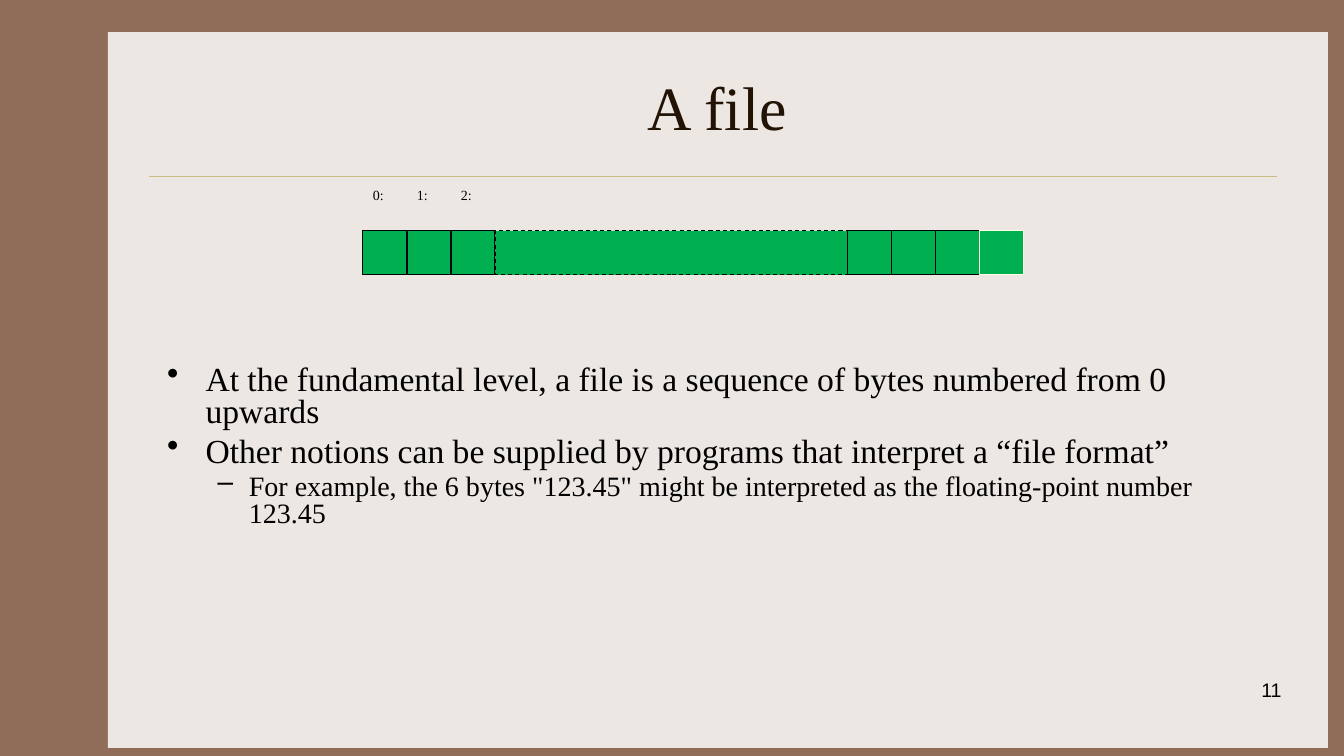
from lxml import etree
from pptx import Presentation
from pptx.dml.color import RGBColor
from pptx.enum.dml import MSO_LINE_DASH_STYLE as Dash
from pptx.enum.shapes import MSO_CONNECTOR as Connector, MSO_SHAPE as Shape
from pptx.enum.text import MSO_ANCHOR as Anchor, PP_ALIGN as Align
from pptx.oxml.ns import qn
from pptx.util import Inches, Pt

SERIF = "Times New Roman"
BLACK = "000000"


def color(value):
    return RGBColor.from_string(value)


def add_text(left, top, width, height, text, size, font=SERIF, ink=BLACK, align=Align.LEFT):
    """Add a wrapping text box and give all its paragraphs one style."""
    box = page.shapes.add_textbox(Inches(left), Inches(top), Inches(width), Inches(height))
    frame = box.text_frame
    frame.word_wrap = True
    frame.text = text
    for para in frame.paragraphs:
        para.alignment = align
        for span in para.runs:
            span.font.name = font
            span.font.size = Pt(size)
            span.font.color.rgb = color(ink)
    return frame


deck = Presentation()
deck.slide_width = Inches(13.33)
deck.slide_height = Inches(7.5)
page = deck.slides.add_slide(deck.slide_layouts[6])
page.background.fill.solid()
page.background.fill.fore_color.rgb = color("906D58")

# Panel, title and rule
panel = page.shapes.add_shape(Shape.RECTANGLE, Inches(1.07), Inches(0.32), Inches(12.1), Inches(7.1))
panel.shadow.inherit = False
panel.fill.solid()
panel.fill.fore_color.rgb = color("EDE7E3")
panel.line.fill.background()

rule = page.shapes.add_connector(Connector.STRAIGHT, Inches(1.48), Inches(1.75), Inches(12.67), Inches(1.75))
rule.line.color.rgb = color("CBBD83")
rule.line.width = Pt(0.25)
etree.SubElement(rule.element.spPr, qn("a:effectLst"))

title = add_text(1.56, 0.42, 11.11, 1.25, "A file", 44, ink="221304", align=Align.CENTER)
title.vertical_anchor = Anchor.MIDDLE

# Bulleted text: level, bullet, left indent, hanging indent, size, space before, text
points = [
    (0, "•", 0.38, 0.38, 24, 0,
     "At the fundamental level, a file is a sequence of bytes numbered from 0 upwards"),
    (0, "•", 0.38, 0.38, 24, 5,
     "Other notions can be supplied by programs that interpret a “file format”"),
    (1, "–", 0.81, 0.31, 20, 4,
     'For example, the 6 bytes "123.45" might be interpreted as the floating-point number 123.45'),
]
body = add_text(1.56, 3.58, 11.11, 2.83, "\n".join(point[-1] for point in points), 24)
for para, (level, bullet, indent, hanging, size, before, _) in zip(body.paragraphs, points):
    para.level = level
    para.line_spacing = 0.8
    para.space_before = Pt(before)
    properties = para._p.get_or_add_pPr()
    properties.set("marL", str(Inches(indent)))
    properties.set("indent", str(-Inches(hanging)))
    etree.SubElement(properties, qn("a:buChar"), char=bullet)
    para.runs[0].font.size = Pt(size)

add_text(10.03, 6.68, 2.78, 0.5, "11", 14, font="Arial", align=Align.RIGHT)

# The file: a row of 15 bytes, the middle eight drawn as one dashed stretch
FILE_LEFT, FILE_TOP = 3.6, 2.29
BYTE = 6.55 / 15
LAST = 14
for first, count in [(0, 1), (1, 1), (2, 1), (3, 8), (11, 1), (12, 1), (13, 1), (LAST, 1)]:
    cell = page.shapes.add_shape(
        Shape.RECTANGLE, Inches(FILE_LEFT + first * BYTE), Inches(FILE_TOP),
        Inches(count * BYTE), Inches(BYTE))
    cell.shadow.inherit = False
    cell.fill.solid()
    cell.fill.fore_color.rgb = color("00B050")
    cell.line.color.rgb = color("FEFDE3" if first == LAST else BLACK)
    cell.line.width = Pt(0.75)
    if count > 1:
        cell.line.dash_style = Dash.DASH

for number in range(3):
    add_text(FILE_LEFT + number * BYTE, 1.8, 0.65, 0.44, f"{number}:", 10)

deck.save("out.pptx")
